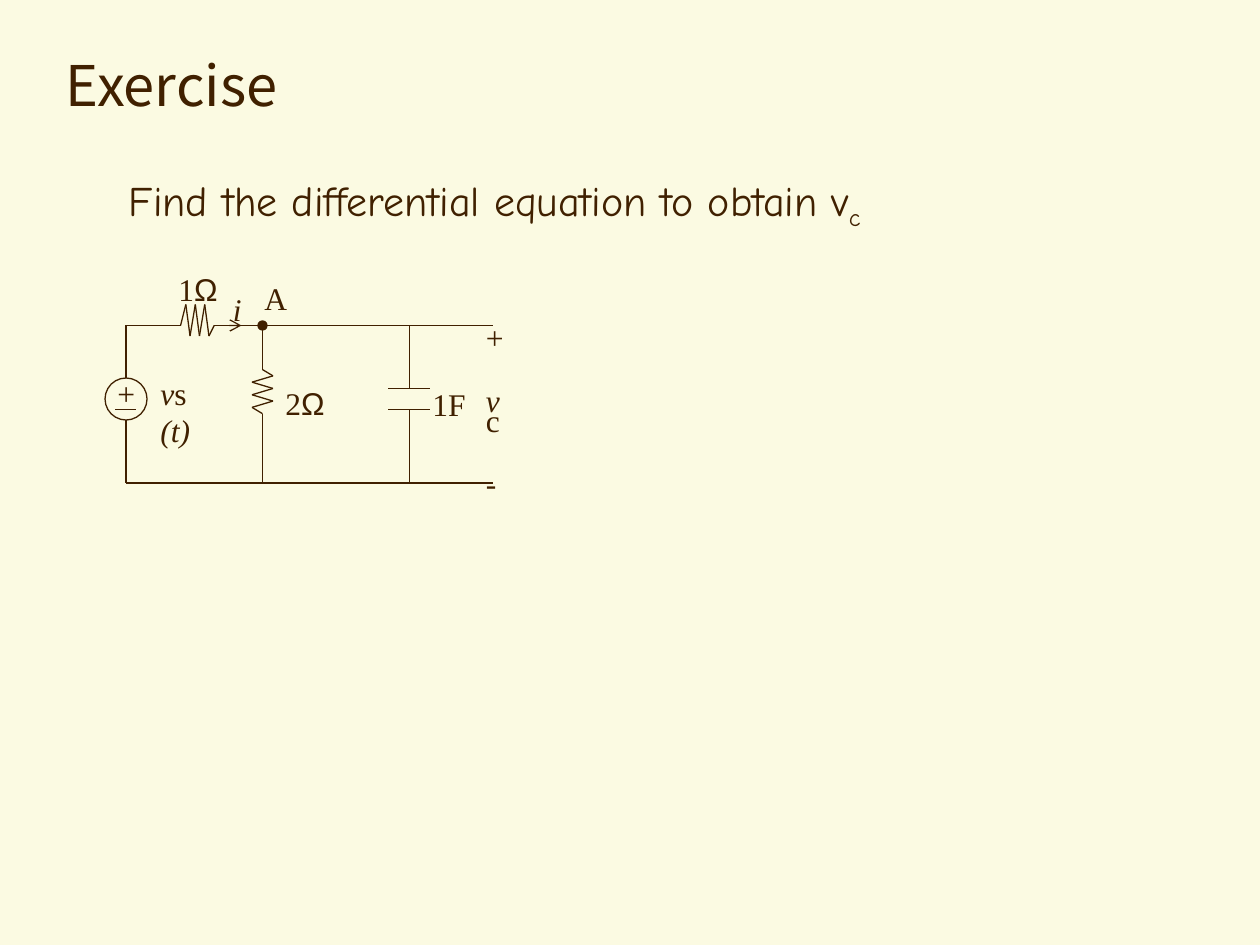
import itertools
import pptx
import pptx.dml.color
import pptx.enum.shapes
import pptx.enum.text
import pptx.util
import pptx.oxml.ns
import lxml.etree

PX = 7620  # EMU, 120 px to the inch
BROWN = pptx.dml.color.RGBColor(0x40, 0x20, 0x00)
CREAM = pptx.dml.color.RGBColor(0xFB, 0xFA, 0xE2)
SERIF = "Times New Roman"
LINE = pptx.util.Pt(0.75)


def sub(node, tag, **attrs):
    return lxml.etree.SubElement(node, pptx.oxml.ns.qn(tag), **attrs)


def label(slide, box, runs, size=18, wrap=False):
    """Text box; each run is (text, font, italic)."""
    shape = slide.shapes.add_textbox(*(n * PX for n in box))
    frame = shape.text_frame
    frame.word_wrap = wrap
    fill(frame.paragraphs[0], runs, size)
    return frame


def fill(par, runs, size=18):
    for text, font, slant in runs:
        run = par.add_run()
        run.text = text
        run.font.size = pptx.util.Pt(size)
        run.font.name = font
        run.font.italic = slant
        run.font.color.rgb = BROWN


def wire(slide, start, end, tail=None):
    kind = pptx.enum.shapes.MSO_CONNECTOR.STRAIGHT
    line = slide.shapes.add_connector(kind, *(n * PX for n in (*start, *end)))
    line.line.color.rgb = BROWN
    line.line.width = LINE
    if tail:
        sub(line.line._get_or_add_ln(), "a:tailEnd", type=tail)
    sub(line._element.spPr, "a:effectLst")


def zigzag(slide, start, length, swing, down=False):
    """Resistor of seven strokes, swinging between two offsets."""
    offs = [0, *swing * 3, 0]
    steps = [round(i * length / 7) for i in range(8)]
    pairs = zip(offs, steps) if down else zip(steps, offs)
    points = [(start[0] + a, start[1] + b) for a, b in pairs]
    for one, two in itertools.pairwise(points):
        wire(slide, one, two)


def source(slide, left, top):
    """Voltage source with its sign and name."""
    label(slide, (left, top - 10, 40, 48), [("+", SERIF, False)], wrap=True)
    wire(slide, (left + 10, top + 30), (left + 30, top + 30))
    kind = pptx.enum.shapes.MSO_SHAPE.OVAL
    ring = slide.shapes.add_shape(kind, *(n * PX for n in (left, top, 40, 40)))
    ring.shadow.inherit = False
    ring.fill.background()
    ring.line.color.rgb = BROWN
    ring.line.width = LINE
    label(slide, (left + 41, top - 10, 77, 49),
          [("v", SERIF, True), ("s ", SERIF, False), ("(t)", SERIF, True)],
          wrap=True)


def output(slide, box):
    """Output voltage between its plus and minus signs."""
    frame = label(slide, box, [("+", SERIF, False)], wrap=True)
    fill(frame.add_paragraph(), [("v", SERIF, True), ("c", SERIF, False)])
    fill(frame.add_paragraph(), [("-", SERIF, False)])
    for par in frame.paragraphs:
        par.line_spacing = 0.55
    for par in frame.paragraphs[1:]:
        par.space_before = pptx.util.Pt(24)


def circuit(slide, left, top):
    def at(x, y):
        return left + x, top + y

    # Wires: top rail, bottom rail, branches, capacitor plates
    for one, two, tail in [
        ((150, 60), (370, 60), None),
        ((104, 60), (150, 60), "oval"),
        ((20, 60), (72, 60), None),
        ((110, 60), (130, 60), "arrow"),
        ((20, 210), (280, 210), None),
        ((150, 210), (370, 210), None),
        ((20, 60), (20, 110), None),
        ((20, 150), (20, 210), None),
        ((150, 60), (150, 102), None),
        ((150, 144), (150, 210), None),
        ((290, 60), (290, 120), None),
        ((290, 140), (290, 210), None),
        ((270, 120), (310, 120), None),
        ((270, 140), (310, 140), None),
    ]:
        wire(slide, at(*one), at(*two), tail)

    # Parts
    zigzag(slide, at(72, 60), 32, [-20, 10])
    zigzag(slide, at(150, 102), 42, [10, -10], down=True)
    source(slide, *at(0, 110))
    output(slide, (*at(351, 61), 44, 151))

    # Names
    ohm = ("Ω", "Arial", False)
    for x, y, width, runs in [
        (58, 1, 64, [("1", SERIF, False), ohm]),
        (160, 110, 64, [("2", SERIF, False), ohm]),
        (110, 20, 34, [("i", SERIF, True)]),
        (300, 111, 58, [("1F", SERIF, False)]),
        (140, 10, 48, [("A", SERIF, False)]),
    ]:
        label(slide, (*at(x, y), width, 48), runs, wrap=True)


def heading(slide, box):
    frame = label(slide, box, [("Exercise", "Noto Sans CJK KR", False)], 32, True)
    frame.vertical_anchor = pptx.enum.text.MSO_ANCHOR.MIDDLE


def task(slide, box):
    font = "Comic Neue"
    frame = label(slide, box, [
        ("Find the differential equation to obtain v", font, False),
        ("c", font, False)], 24)
    low = frame.paragraphs[0].runs[-1]
    low.font._element.set("baseline", "-25000")


def main():
    deck = pptx.Presentation()
    deck.slide_width, deck.slide_height = 1200 * PX, 900 * PX
    slide = deck.slides.add_slide(deck.slide_layouts[6])
    slide.background.fill.solid()
    slide.background.fill.fore_color.rgb = CREAM
    heading(slide, (51, 30, 1100, 100))
    circuit(slide, 100, 250)
    task(slide, (111, 160, 725, 67))
    deck.save("out.pptx")


if __name__ == "__main__":
    main()
